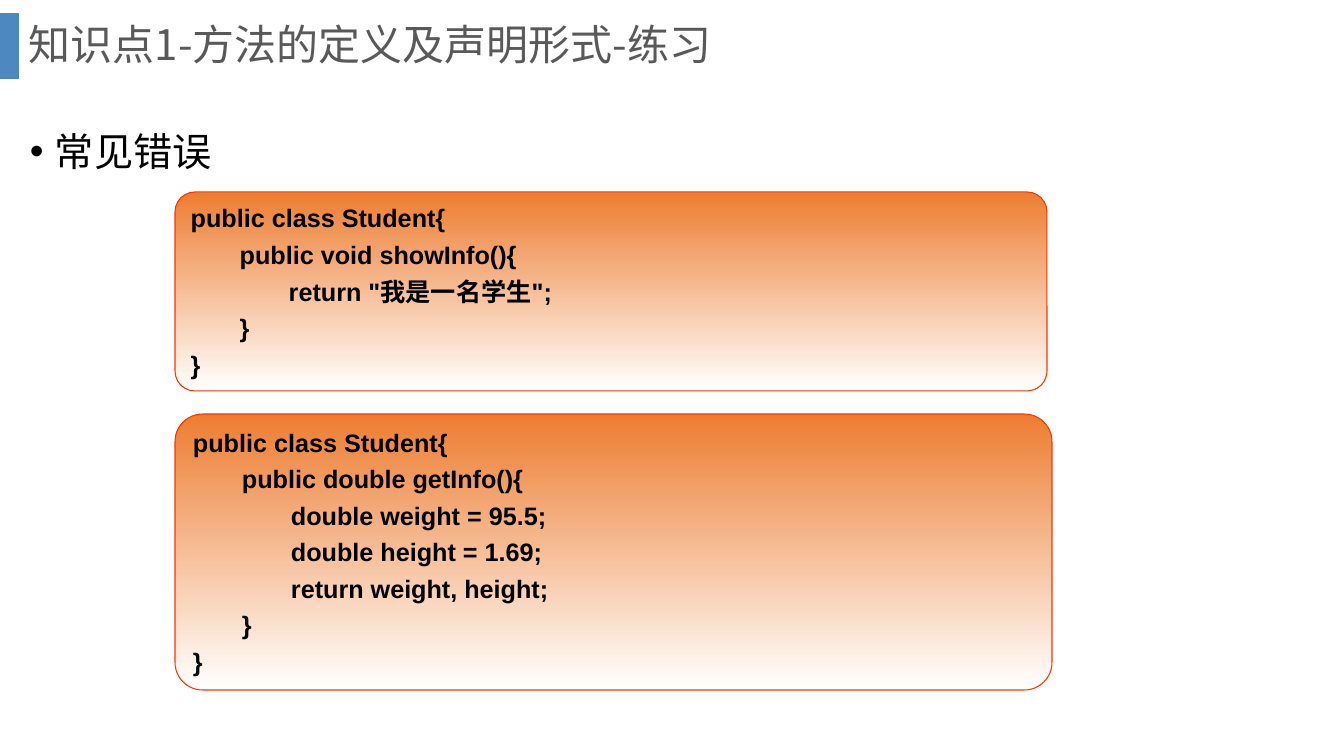
from dataclasses import dataclass

import pptx
import pptx.dml.color
import pptx.enum.shapes
import pptx.enum.text
import pptx.oxml.ns
import pptx.util
from lxml import etree

EMU_PER_PX = 914400 / 100.8
COLORS = {
    "bar": "2E75B6",
    "title": "595959",
    "text": "000000",
    "gradient_top": "ED7D31",
    "gradient_bottom": "FFFFFF",
    "outline": "FF3300",
}
CJK_FONT = "Noto Sans CJK SC"
CODE_FONT = "Arial"
TAB_PX = 49
BULLET_INDENT_PX = 25
qn = pptx.oxml.ns.qn


@dataclass(frozen=True)
class Area:
    left: int
    top: int
    width: int
    height: int

    def emu(self) -> list[int]:
        return [px(n) for n in (self.left, self.top, self.width, self.height)]


@dataclass(frozen=True)
class CodePanel:
    area: Area
    lines: tuple[str, ...]


PANELS = (
    CodePanel(Area(175, 192, 872, 199), (
        "public class Student{",
        "\tpublic void showInfo(){",
        "\t\treturn \"我是一名学生\";",
        "\t}",
        "}",
    )),
    CodePanel(Area(175, 414, 877, 276), (
        "public class Student{",
        "\tpublic double getInfo(){",
        "\t\tdouble weight = 95.5;",
        "\t\tdouble height = 1.69;",
        "\t\treturn weight, height;",
        "\t}",
        "}",
    )),
)


def px(count: int) -> pptx.util.Emu:
    return pptx.util.Emu(round(count * EMU_PER_PX))


def rgb(name: str) -> pptx.dml.color.RGBColor:
    return pptx.dml.color.RGBColor.from_string(COLORS[name])


def set_font(para, name: str, size: int, color: str, bold: bool = False) -> None:
    font = para.font
    font.name = name
    font.size = pptx.util.Pt(size)
    font.bold = bold
    font.color.rgb = rgb(color)
    latin = para._p.pPr.find(qn("a:defRPr")).find(qn("a:latin"))
    east_asian = etree.Element(qn("a:ea"), typeface=CJK_FONT)
    latin.addnext(east_asian)


def add_bar(page, area: Area) -> None:
    bar = page.shapes.add_shape(
        pptx.enum.shapes.MSO_SHAPE.RECTANGLE, *area.emu())
    bar.shadow.inherit = False
    bar.fill.solid()
    bar.fill.fore_color.rgb = rgb("bar")
    color = bar._element.spPr.find(qn("a:solidFill"))[0]
    etree.SubElement(color, qn("a:alpha"), val="85000")
    bar.line.fill.background()


def add_text(page, area: Area, text: str, anchor, line_spacing: float):
    box = page.shapes.add_textbox(*area.emu())
    frame = box.text_frame
    frame.word_wrap = True
    frame.vertical_anchor = anchor
    para = frame.paragraphs[0]
    para.text = text
    para.line_spacing = line_spacing
    return para


def add_bullet(para) -> None:
    properties = para._p.get_or_add_pPr()
    properties.set("marL", str(px(BULLET_INDENT_PX)))
    properties.set("indent", str(-px(BULLET_INDENT_PX)))
    etree.SubElement(properties, qn("a:buFont"), typeface="Arial")
    etree.SubElement(properties, qn("a:buChar"), char="•")


def add_tab_stops(para, count: int) -> None:
    stops = etree.SubElement(para._p.get_or_add_pPr(), qn("a:tabLst"))
    for step in range(1, count + 1):
        etree.SubElement(stops, qn("a:tab"), pos=str(px(step * TAB_PX)), algn="l")


def add_code_panel(page, panel: CodePanel) -> None:
    box = page.shapes.add_shape(
        pptx.enum.shapes.MSO_SHAPE.ROUNDED_RECTANGLE, *panel.area.emu())
    box.shadow.inherit = False
    box.adjustments[0] = 0.1
    box.fill.gradient()
    box.fill.gradient_angle = 270
    for stop, position, color in zip(
            box.fill.gradient_stops, (0, 1), ("gradient_top", "gradient_bottom")):
        stop.position = position
        stop.color.rgb = rgb(color)
    box.line.color.rgb = rgb("outline")
    box.line.width = pptx.util.Pt(0.75)

    frame = box.text_frame
    frame.word_wrap = True
    frame.vertical_anchor = pptx.enum.text.MSO_ANCHOR.TOP
    for index, line in enumerate(panel.lines):
        para = frame.add_paragraph() if index else frame.paragraphs[0]
        para.text = line
        para.alignment = pptx.enum.text.PP_ALIGN.LEFT
        if index:
            para.space_before = pptx.util.Pt(4.5)
        add_tab_stops(para, 2)
        set_font(para, CODE_FONT, 18, "text", bold=True)


def main() -> None:
    deck = pptx.Presentation()
    deck.slide_width, deck.slide_height = px(1344), px(756)
    page = deck.slides.add_slide(deck.slide_layouts[6])
    anchors = pptx.enum.text.MSO_ANCHOR

    add_bar(page, Area(0, 13, 19, 66))
    title = add_text(page, Area(19, 0, 1276, 94),
                     "知识点1-方法的定义及声明形式-练习", anchors.MIDDLE, 0.9)
    set_font(title, CJK_FONT, 30, "title")
    topic = add_text(page, Area(20, 99, 1300, 601), "常见错误", anchors.TOP, 1.5)
    add_bullet(topic)
    set_font(topic, CJK_FONT, 28, "text")
    for panel in PANELS:
        add_code_panel(page, panel)
    deck.save("out.pptx")


if __name__ == "__main__":
    main()
